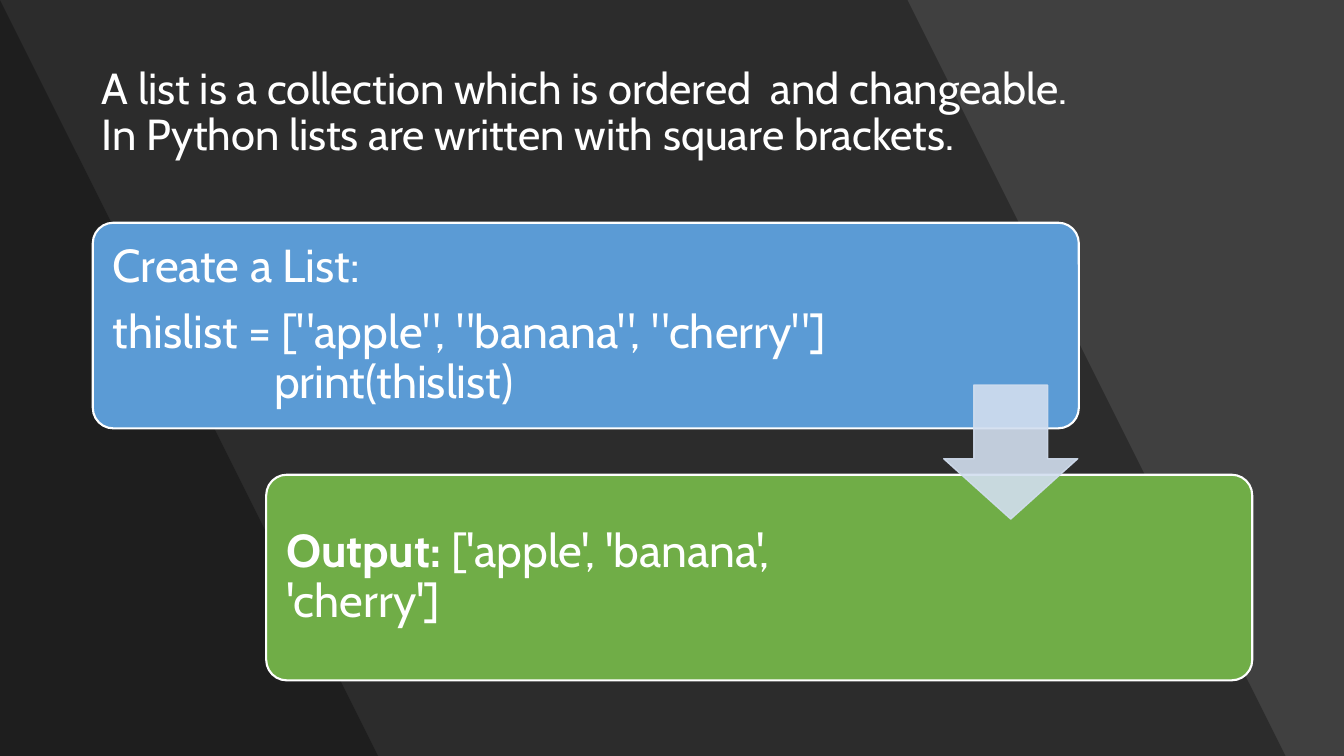
from lxml import etree
from pptx import Presentation
from pptx.dml.color import RGBColor
from pptx.enum.shapes import MSO_SHAPE
from pptx.enum.text import MSO_ANCHOR
from pptx.oxml.ns import qn
from pptx.util import Inches, Pt

ROUNDED = MSO_SHAPE.ROUNDED_RECTANGLE
DOWN_ARROW = MSO_SHAPE.DOWN_ARROW
MIDDLE = MSO_ANCHOR.MIDDLE
WHITE = RGBColor(0xFF, 0xFF, 0xFF)
BLACK = RGBColor(0x00, 0x00, 0x00)
GRAY = RGBColor(0x40, 0x40, 0x40)
BLUE = RGBColor(0x5B, 0x9B, 0xD5)
GREEN = RGBColor(0x70, 0xAD, 0x47)
PALE_BLUE = RGBColor(0xD2, 0xDE, 0xEF)
WIDTH, HEIGHT = 13.33, 7.5
CARD_WIDTH, CARD_HEIGHT = 9.78, 2.04
CARD_PADDING = 0.06


def paint(fill, color, percent=100):
    fill.solid()
    fill.fore_color.rgb = color
    if percent < 100:
        for tint in fill._xPr.iter(qn("a:srgbClr")):
            etree.SubElement(tint, qn("a:alpha"), val=str(percent * 1000))


def write(left, top, width, height, paragraphs, size, inset=None, after=0):
    frame = slide.shapes.add_textbox(
        Inches(left), Inches(top), Inches(width), Inches(height)).text_frame
    frame.word_wrap = True
    frame.vertical_anchor = MIDDLE
    if inset:
        frame.margin_left = frame.margin_right = Inches(inset)
        frame.margin_top = frame.margin_bottom = Inches(inset)
    for index, content in enumerate(paragraphs):
        paragraph = frame.add_paragraph() if index else frame.paragraphs[0]
        paragraph.line_spacing = 0.9
        paragraph.space_after = Pt(after)
        if "\t" in content:
            tabs = etree.SubElement(paragraph._p.get_or_add_pPr(), qn("a:tabLst"))
            etree.SubElement(tabs, qn("a:tab"), pos=str(Inches(1.6)), algn="l")
        paragraph.text = content
        paragraph.font.name = "Cabin"
        paragraph.font.size = Pt(size)
        paragraph.font.color.rgb = WHITE
    return frame


presentation = Presentation()
presentation.slide_width = Inches(WIDTH)
presentation.slide_height = Inches(HEIGHT)
slide = presentation.slides.add_slide(presentation.slide_layouts[6])
paint(slide.background.fill, GRAY)

for top_edge, bottom_edge in [(9.42, 12.89), (0.44, 3.92)]:
    outline = slide.shapes.build_freeform(0, 0, scale=Inches(1))
    outline.add_line_segments([(top_edge, 0), (bottom_edge, HEIGHT), (0, HEIGHT)])
    shade = outline.convert_to_shape()
    shade.shadow.inherit = False
    paint(shade.fill, BLACK, 30)
    shade.line.fill.background()

write(0.91, 0.4, 11.51, 1.45,
      ["A list is a collection which is ordered  and changeable. \v"
       "In Python lists are written with square brackets."], 31)

cards = [
    (0.92, 2.21, BLUE, 7.66,
     ["Create a List:",
      'thislist = ["apple",\u00a0"banana",\u00a0"cherry"]\v\tprint(thislist)']),
    (2.64, 4.71, GREEN, 6.6, ["Output:"]),
]
for left, top, color, text_width, paragraphs in cards:
    card = slide.shapes.add_shape(
        ROUNDED, Inches(left), Inches(top), Inches(CARD_WIDTH), Inches(CARD_HEIGHT))
    card.adjustments[0] = 0.1
    card.shadow.inherit = False
    paint(card.fill, color)
    paint(card.line.fill, WHITE)
    card.line.width = Pt(1.5)
    card_text = write(left + CARD_PADDING, top + CARD_PADDING, text_width,
                      CARD_HEIGHT - 2 * CARD_PADDING, paragraphs, 33, 0.14, 11.5)

output = card_text.paragraphs[0]
output.runs[0].font.bold = True
output.add_run().text = " ['apple', 'banana', 'cherry']"

arrow = slide.shapes.add_shape(
    DOWN_ARROW, Inches(9.36), Inches(3.82), Inches(1.33), Inches(1.33))
arrow.adjustments[0] = 0.55
arrow.adjustments[1] = 0.45
arrow.shadow.inherit = False
paint(arrow.fill, PALE_BLUE, 90)
paint(arrow.line.fill, PALE_BLUE, 90)
arrow.line.width = Pt(1)
for tint in arrow.fill._xPr.iter(qn("a:srgbClr")):
    for extra in tint.findall(qn("a:alpha"))[1:]:
        tint.remove(extra)

presentation.save("out.pptx")
